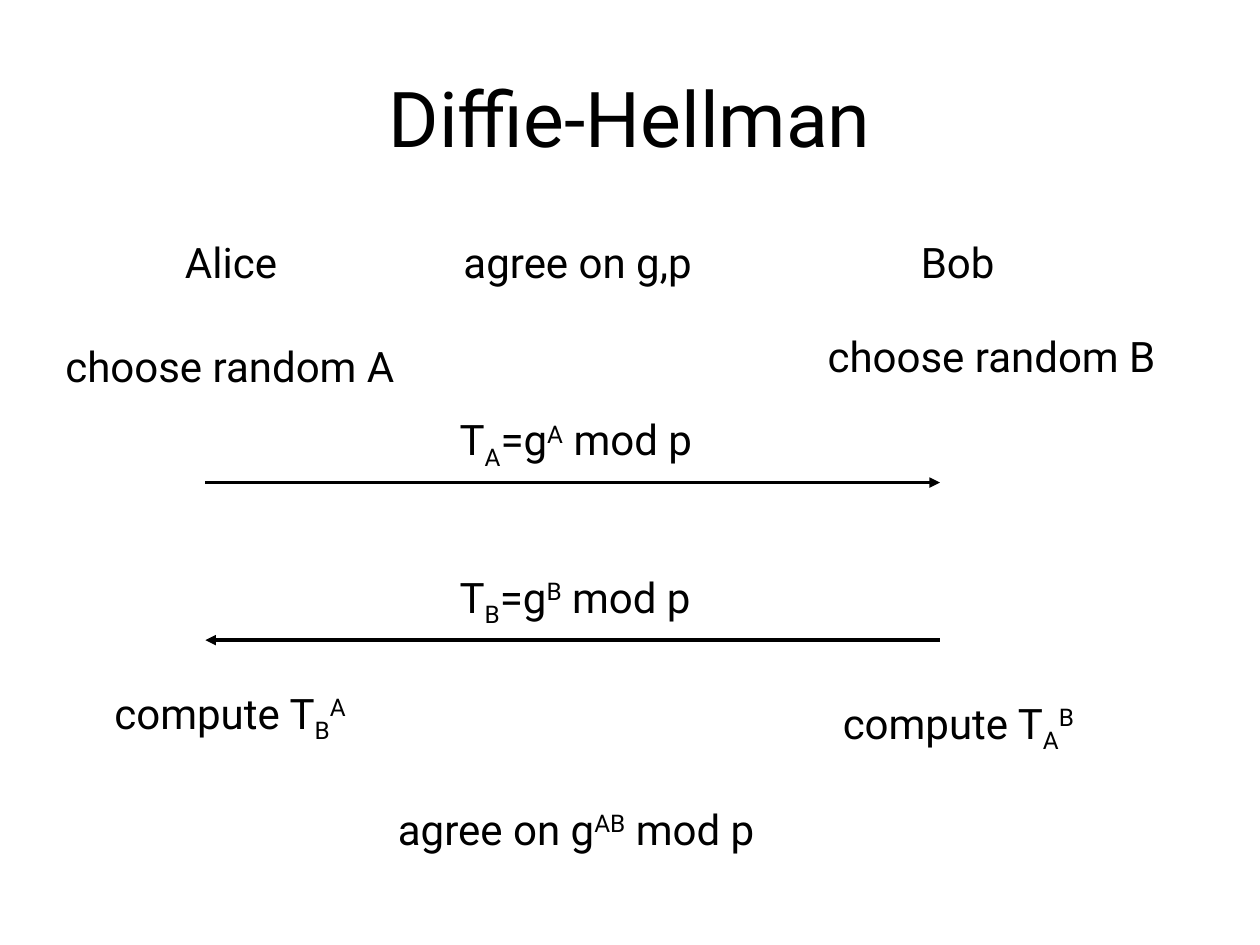
from dataclasses import dataclass

from lxml import etree
from pptx import Presentation
from pptx.dml.color import RGBColor
from pptx.enum import shapes, text
from pptx.oxml import ns
from pptx.util import Inches, Pt


@dataclass(frozen=True)
class Theme:
    font: str = "Roboto"
    ink: RGBColor = RGBColor(0, 0, 0)
    paper: RGBColor = RGBColor(255, 255, 255)
    title_size: int = 44
    body_size: int = 24
    arrow_width: int = 2
    line_spacing: float = 1.01


THEME = Theme()
BASELINES = {"_": "-25000", "^": "30000"}
ALICE_X, BOB_X = 1.63, 7.46
PLAIN_HEIGHT, FORMULA_HEIGHT = 0.51, 0.56


def add_runs(paragraph, pieces, size):
    """Add runs; a piece starting with _ or ^ becomes a subscript or superscript."""
    paragraph.line_spacing = THEME.line_spacing
    for piece in pieces:
        run = paragraph.add_run()
        run.text = piece.lstrip("_^")
        run.font.name = THEME.font
        run.font.size = Pt(size)
        run.font.color.rgb = THEME.ink
        if piece[0] in BASELINES:
            run._r.get_or_add_rPr().set("baseline", BASELINES[piece[0]])


def set_title(slide, wording):
    title = slide.shapes.title
    title.left, title.top = Inches(0.5), Inches(0.3)
    title.width, title.height = Inches(9), Inches(1.25)
    frame = title.text_frame
    frame.auto_size = text.MSO_AUTO_SIZE.NONE
    frame.vertical_anchor = text.MSO_ANCHOR.MIDDLE
    paragraph = frame.paragraphs[0]
    paragraph.alignment = text.PP_ALIGN.CENTER
    add_runs(paragraph, [wording], THEME.title_size)


def add_step(slide, left, top, width, *pieces):
    has_subscript = any(piece.startswith("_") for piece in pieces)
    height = FORMULA_HEIGHT if has_subscript else PLAIN_HEIGHT
    step = slide.shapes.add_textbox(
        Inches(left), Inches(top), Inches(width), Inches(height))
    frame = step.text_frame
    frame.word_wrap = False
    frame.auto_size = text.MSO_AUTO_SIZE.SHAPE_TO_FIT_TEXT
    add_runs(frame.paragraphs[0], pieces, THEME.body_size)


def add_message(slide, start_x, end_x, y, key):
    """Add an arrow between the parties, with the public value sent above it."""
    arrow = slide.shapes.add_connector(
        shapes.MSO_CONNECTOR.STRAIGHT,
        Inches(start_x), Inches(y), Inches(end_x), Inches(y))
    arrow.line.color.rgb = THEME.ink
    arrow.line.width = Pt(THEME.arrow_width)
    etree.SubElement(arrow.line._get_or_add_ln(), ns.qn("a:tailEnd"), type="triangle")
    etree.SubElement(arrow._element.spPr, ns.qn("a:effectLst"))
    add_step(slide, 3.55, y - 0.6, 2.13, "T", f"_{key}", "=g", f"^{key}", " mod p")


def main():
    deck = Presentation()
    deck.slide_width, deck.slide_height = Inches(10), Inches(7.5)
    slide = deck.slides.add_slide(deck.slide_layouts.get_by_name("Title Only"))
    slide.background.fill.solid()
    slide.background.fill.fore_color.rgb = THEME.paper

    set_title(slide, "Diffie-Hellman")
    add_step(slide, 1.37, 1.82, 0.94, "Alice")
    add_step(slide, 3.58, 1.82, 2.19, "agree on g,p")
    add_step(slide, 7.21, 1.82, 0.83, "Bob")
    add_step(slide, 0.42, 2.65, 2.95, "choose random A")
    add_step(slide, 6.47, 2.57, 2.96, "choose random B")
    add_message(slide, ALICE_X, BOB_X, 3.83, "A")
    add_message(slide, BOB_X, ALICE_X, 5.08, "B")
    add_step(slide, 0.81, 5.4, 2.12, "compute T", "_B", "^A")
    add_step(slide, 6.59, 5.48, 2.12, "compute T", "_A", "^B")
    add_step(slide, 3.06, 6.32, 3.24, "agree on g", "^AB", " mod p")

    deck.save("out.pptx")


if __name__ == "__main__":
    main()
